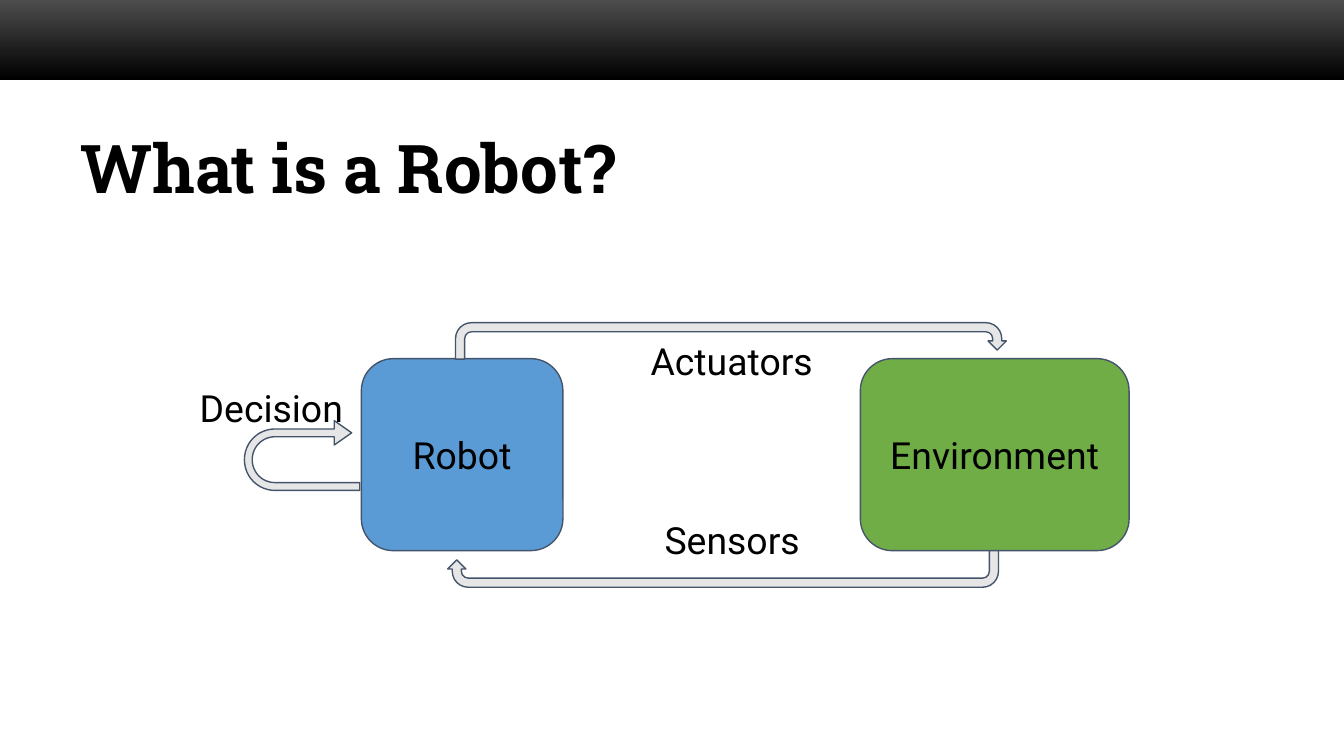
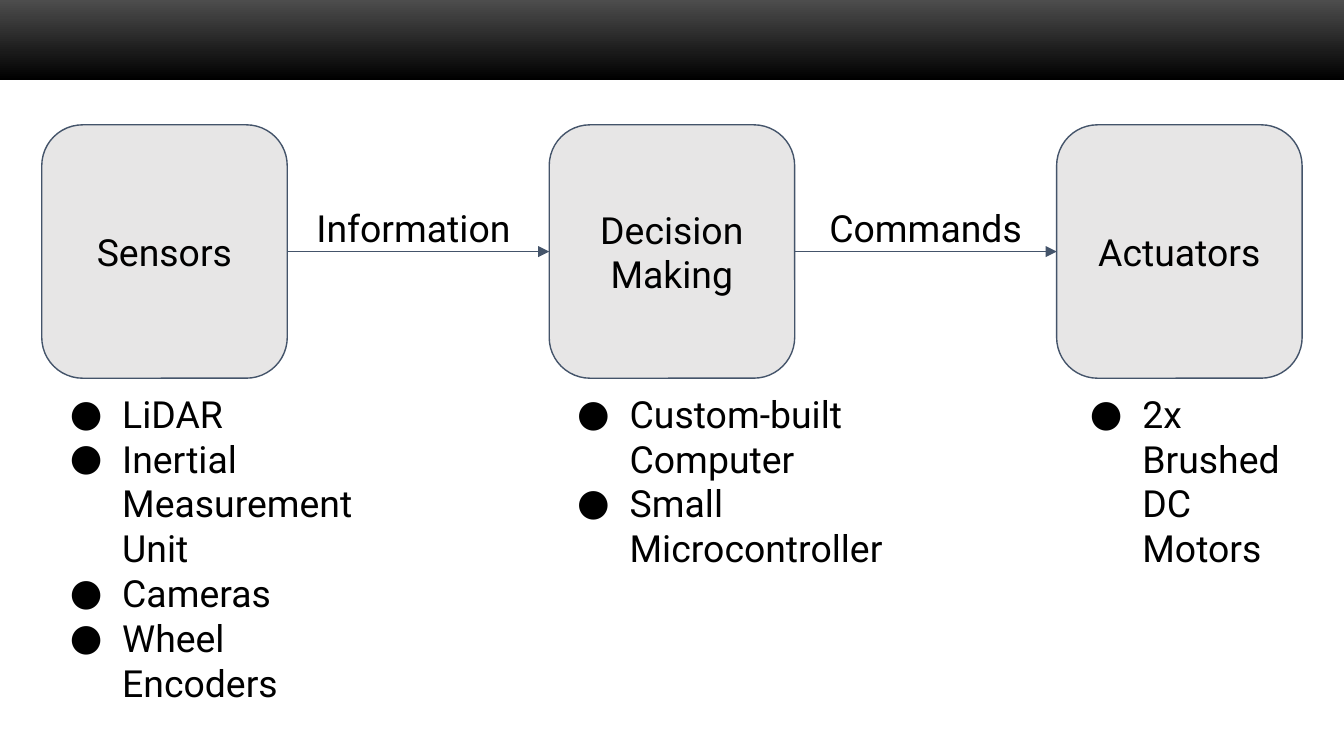
from dataclasses import dataclass
from lxml.etree import SubElement
from pptx import Presentation
from pptx.dml.color import RGBColor as RGB
from pptx.enum.shapes import MSO_CONNECTOR as CONN, MSO_SHAPE as SHAPE
from pptx.enum.text import MSO_ANCHOR as ANCHOR, MSO_AUTO_SIZE as AUTO, PP_ALIGN as ALIGN
from pptx.oxml.ns import qn
from pptx.util import Cm, Pt


@dataclass(frozen=True)
class Theme:
    text: RGB = RGB.from_string("000000")
    outline: RGB = RGB.from_string("44546A")
    grey: RGB = RGB.from_string("E7E6E6")
    blue: RGB = RGB.from_string("5B9BD5")
    green: RGB = RGB.from_string("70AD47")
    band: tuple = (RGB.from_string("4D4D4D"), RGB.from_string("000000"))
    title_font: str = "Roboto Slab"
    body_font: str = "Roboto"
    title_size: Pt = Pt(36)
    body_size: Pt = Pt(20)
    line: Pt = Pt(0.75)
    inset: Cm = Cm(0.25)


T = Theme()
WIDTH, HEIGHT, BAND = 25.4, 14.29, 1.52

TITLE = "What is a Robot?"
TITLE_AT = (1.27, 1.91, 22.23, 1.91)

NODE_TOP, NODE_HEIGHT = 6.78, 3.63
NODES = [("Robot", 6.83, 3.81, T.blue), ("Environment", 16.26, 5.08, T.green)]

FLOW = (0.25, 0.25, 0.25, 0.438, 0.75)
LOOP = (0.112, 0.175, 0.25, 0.438, 0.93)
ARROWS = [
    ((8.61, 6.1, 10.41, 0.69), 0, FLOW),
    ((8.46, 10.41, 10.41, 0.69), 180, FLOW),
    ((5.05, 7.52, 1.32, 2.18), 270, LOOP),
]
LABELS = [
    ("Sensors", 12.24, 9.53, 3.2),
    ("Decision", 3.43, 7.04, 3.4),
    ("Actuators", 11.99, 6.15, 3.68),
]
LABEL_HEIGHT = 1.57

STAGES = [
    ("Sensors", 0.79, 6.2,
     ["LiDAR", "Inertial Measurement Unit", "Cameras", "Wheel Encoders"]),
    ("Decision Making", 10.38, 6.73,
     ["Custom-built Computer", "Small Microcontroller"]),
    ("Actuators", 20.07, 4.65, ["2x Brushed DC Motors"]),
]
LINKS = ["Information ", "Commands"]
MARGIN, STAGE_TOP, STAGE_WIDTH, STAGE_HEIGHT = 0.79, 2.36, 4.64, 4.79
LINK_HEIGHT = 0.91
LIST_TOP, LIST_HEIGHT = 7.14, 4.37


def cm(*values):
    return [Cm(v) for v in values]


def style_font(p, name=T.body_font, size=T.body_size, bold=False):
    for r in p.runs:
        r.font.name, r.font.size, r.font.bold = name, size, bold
        r.font.color.rgb = T.text


def frame(sp, anchor):
    tf = sp.text_frame
    tf.word_wrap, tf.auto_size, tf.vertical_anchor = True, AUTO.NONE, anchor
    tf.margin_left = tf.margin_right = tf.margin_top = tf.margin_bottom = T.inset
    return tf


def write(sp, text, anchor):
    tf = frame(sp, anchor)
    tf.text = text
    p = tf.paragraphs[0]
    p.alignment = ALIGN.CENTER
    style_font(p)


def add_block(shapes, kind, at, fill):
    sp = shapes.add_shape(kind, *cm(*at))
    sp.shadow.inherit = False
    sp.fill.solid()
    sp.fill.fore_color.rgb = fill
    sp.line.color.rgb, sp.line.width = T.outline, T.line
    return sp


def add_box(shapes, text, at, fill):
    sp = add_block(shapes, SHAPE.ROUNDED_RECTANGLE, at, fill)
    write(sp, text, ANCHOR.MIDDLE)
    return sp


def add_label(shapes, text, at, anchor=ANCHOR.TOP):
    write(shapes.add_textbox(*cm(*at)), text, anchor)


def add_bullets(shapes, items, at):
    tf = frame(shapes.add_textbox(*cm(*at)), ANCHOR.TOP)
    tf.text = "\n".join(items)
    for p in tf.paragraphs:
        pPr = p._p.get_or_add_pPr()
        pPr.set("marL", str(Cm(1.27)))
        pPr.set("indent", str(-Cm(0.99)))
        color = SubElement(pPr, qn("a:buClr"))
        SubElement(color, qn("a:srgbClr"), val=str(T.text))
        SubElement(pPr, qn("a:buFont"), typeface=T.body_font)
        SubElement(pPr, qn("a:buChar"), char="●")
        style_font(p)


def add_arrow(shapes, start, end):
    line = shapes.add_connector(CONN.STRAIGHT, 0, 0, 0, 0)
    line.begin_connect(start, 3)
    line.end_connect(end, 1)
    line.line.color.rgb, line.line.width = T.outline, T.line
    SubElement(line.line._get_or_add_ln(), qn("a:tailEnd"), type="triangle")
    SubElement(line._element.spPr, qn("a:effectLst"))


def add_master_band(prs, s):
    sp = s.shapes.add_shape(SHAPE.RECTANGLE, *cm(0, 0, WIDTH, BAND))
    sp.shadow.inherit = False
    sp.line.fill.background()
    sp.fill.gradient()
    sp.fill.gradient_angle = 270
    for stop, color, position in zip(sp.fill.gradient_stops, T.band, (0, 1)):
        stop.color.rgb, stop.position = color, position
    prs.slide_master.shapes._spTree.insert(2, sp._element)


def add_title(s):
    sp = s.shapes.title
    sp.left, sp.top, sp.width, sp.height = cm(*TITLE_AT)
    tf = frame(sp, ANCHOR.TOP)
    tf.text = TITLE
    p = tf.paragraphs[0]
    p.alignment, p.line_spacing = ALIGN.LEFT, 1.15
    style_font(p, T.title_font, T.title_size, True)


def build_robot(s):
    add_title(s)
    shapes = s.shapes.add_group_shape().shapes
    for text, left, width, fill in NODES:
        add_box(shapes, text, (left, NODE_TOP, width, NODE_HEIGHT), fill)
    for at, rotation, adjustments in ARROWS:
        sp = add_block(shapes, SHAPE.U_TURN_ARROW, at, T.grey)
        sp.rotation = rotation
        for i, value in enumerate(adjustments):
            sp.adjustments[i] = value
    for text, left, top, width in LABELS:
        add_label(shapes, text, (left, top, width, LABEL_HEIGHT))


def build_pipeline(s):
    pitch = (WIDTH - 2 * MARGIN - STAGE_WIDTH) / (len(STAGES) - 1)
    middle = STAGE_TOP + STAGE_HEIGHT / 2
    boxes = []
    for i, (name, list_left, list_width, items) in enumerate(STAGES):
        at = (MARGIN + i * pitch, STAGE_TOP, STAGE_WIDTH, STAGE_HEIGHT)
        boxes.append(add_box(s.shapes, name, at, T.grey))
        add_bullets(s.shapes, items, (list_left, LIST_TOP, list_width, LIST_HEIGHT))
    for i, text in enumerate(LINKS):
        add_arrow(s.shapes, boxes[i], boxes[i + 1])
        left = MARGIN + i * pitch + STAGE_WIDTH
        at = (left, middle - LINK_HEIGHT, pitch - STAGE_WIDTH, LINK_HEIGHT)
        add_label(s.shapes, text, at, ANCHOR.MIDDLE)


def main():
    prs = Presentation()
    prs.slide_width, prs.slide_height = cm(WIDTH, HEIGHT)
    title_only, blank = prs.slide_layouts[5], prs.slide_layouts[6]
    robot = prs.slides.add_slide(title_only)
    add_master_band(prs, robot)
    build_robot(robot)
    build_pipeline(prs.slides.add_slide(blank))
    prs.save("out.pptx")


if __name__ == "__main__":
    main()
